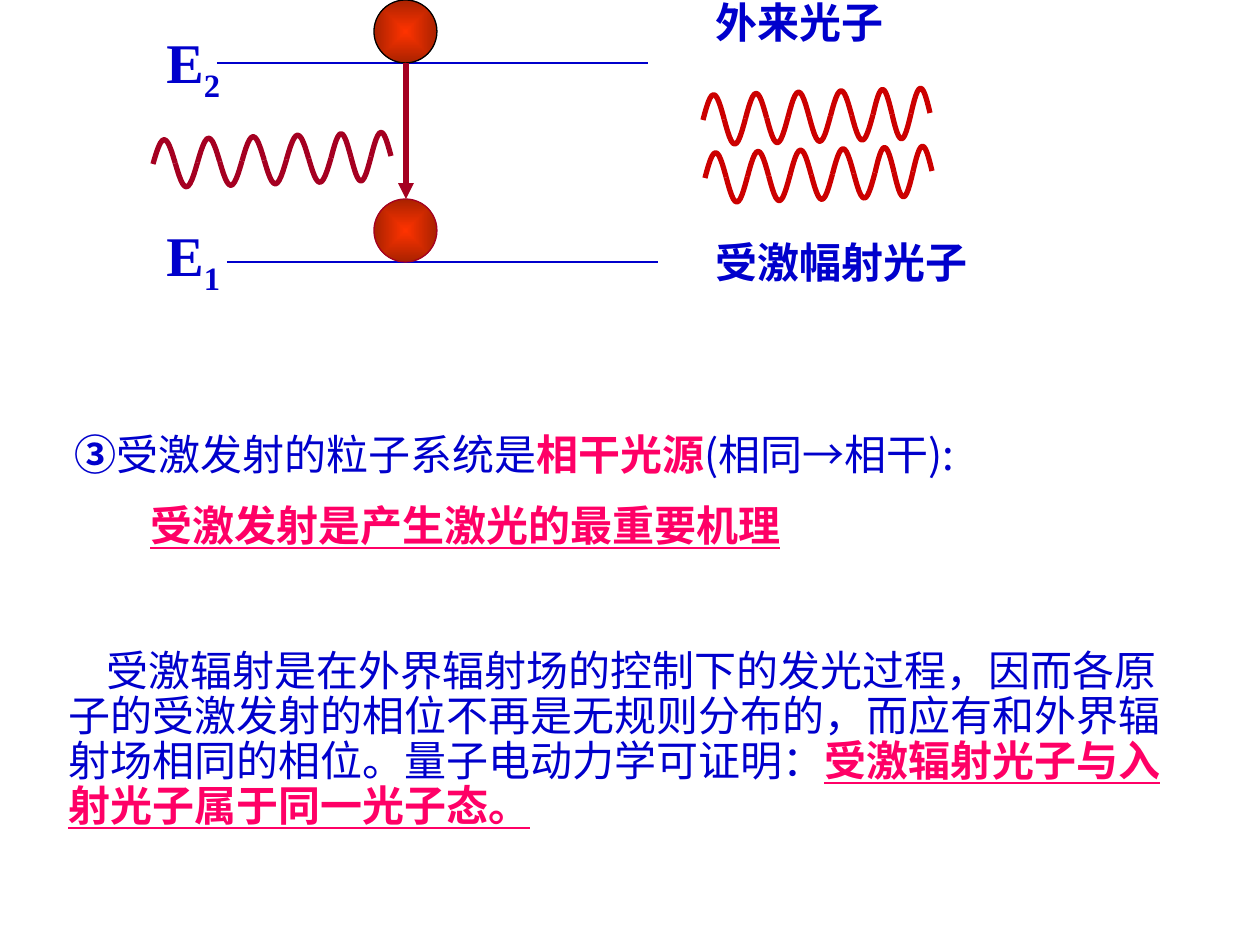
import math
from lxml import etree
from pptx import Presentation, util as u
from pptx.dml.color import RGBColor
from pptx.enum import shapes as es, text as et
from pptx.oxml import ns, parse_xml

PX = 914400 / 126
BLUE, PINK, WINE, RED = "0000CC", "FF0066", "A50021", "CC0000"
SERIF, SANS = "Times New Roman", "Noto Sans CJK SC"


def px(n):
    return round(n * PX)


def color(code):
    return RGBColor.from_string(code)


def stroke(item, code, width):
    item.line.color.rgb = color(code)
    item.line.width = u.Pt(width)


def line(slide, x1, y1, x2, y2, code=BLUE, width=0.75, head=False):
    rule = slide.shapes.add_connector(
        es.MSO_CONNECTOR.STRAIGHT, px(x1), px(y1), px(x2), px(y2))
    stroke(rule, code, width)
    props = rule._element.spPr
    if head:
        etree.SubElement(props.find(ns.qn("a:ln")), ns.qn("a:tailEnd"), type="triangle")
    etree.SubElement(props, ns.qn("a:effectLst"))


def ball(slide, x, y, edge):
    disc = slide.shapes.add_shape(es.MSO_SHAPE.OVAL, px(x), px(y), px(63), px(63))
    disc.shadow.inherit = False
    stroke(disc, edge, 0.75)
    disc.fill.gradient()
    for stop, code, place in zip(disc.fill.gradient_stops, ("FF3300", "A92200"), (0, 1)):
        stop.color.rgb = color(code)
        stop.position = place
    grad = disc._element.spPr.find(ns.qn("a:gradFill"))
    grad.replace(grad.find(ns.qn("a:lin")), parse_xml(
        f'<a:path {ns.nsdecls("a")} path="shape">'
        '<a:fillToRect l="50000" t="50000" r="50000" b="50000"/></a:path>'))


def arc(slide, points, code):
    pen = slide.shapes.build_freeform(*points[0], scale=1.0)
    pen.add_line_segments(points[1:], close=False)
    curve = pen.convert_to_shape()
    curve.shadow.inherit = False
    curve.fill.background()
    stroke(curve, code, 3)


def wave(slide, x, y, wide, slim, rise, amp, code):
    halves = [wide / 8] * 8 + [slim / 3] * 3
    steps, span, left = 12, wide + slim, 0
    for i, half in enumerate(halves):
        points = []
        for k in range(steps + 1):
            run = left + half * k / steps
            swing = amp * math.sin(math.pi * (i + k / steps))
            points.append((px(x + run), px(y - rise * run / span - swing)))
        arc(slide, points, code)
        left += half


def box(slide, x, y, w, h, wrap=True):
    frame = slide.shapes.add_textbox(px(x), px(y), px(w), px(h)).text_frame
    frame.word_wrap = wrap
    return frame


def write(para, words, code=BLUE, face=SANS, bold=False, under=False, size=24):
    run = para.add_run()
    run.text = words
    font = run.font
    font.size, font.name, font.bold = u.Pt(size), face, bold
    if under:
        font.underline = True
    font.color.rgb = color(code)
    etree.SubElement(run._r.get_or_add_rPr(), ns.qn("a:ea"), typeface=SANS)
    return run


def indent(para, first, pitch):
    para._p.get_or_add_pPr().set("indent", str(px(first)))
    para.line_spacing = u.Pt(pitch)


def level(slide, y, index):
    para = box(slide, 154, y, 80, 79, False).paragraphs[0]
    write(para, "E", face=SERIF, bold=True, size=32)
    sub = write(para, index, face=SERIF, bold=True, size=32)
    sub._r.get_or_add_rPr().set("baseline", "-25000")


def label(slide, y, width, words):
    para = box(slide, 703, y, width, 63, False).paragraphs[0]
    para.line_spacing = u.Pt(28.5)
    write(para, words, face=SERIF, bold=True)


def diagram(slide):
    line(slide, 227, 262, 658, 262)
    line(slide, 217, 63, 648, 63)
    level(slide, 21, "2")
    level(slide, 214, "1")
    ball(slide, 374, 0, "000000")
    wave(slide, 153, 164, 178, 60, 8, 24, WINE)
    ball(slide, 374, 199, WINE)
    line(slide, 406, 63, 406, 199, WINE, 3, True)
    for x, y in ((703, 120), (705, 178)):
        wave(slide, x, y, 170, 57, 7, 25, RED)
    label(slide, -9, 194, "外来光子")
    label(slide, 231, 278, "受激幅射光子")


def notes(slide):
    frame = box(slide, 53, 423, 985, 139)
    para = frame.paragraphs[0]
    indent(para, 9, 28.5)
    write(para, "③", face=SERIF, bold=True)
    write(para, "受激发射的粒子系统是")
    write(para, "相干光源", PINK, bold=True)
    write(para, "(相同→相干):")
    para = frame.add_paragraph()
    indent(para, 85, 28.5)
    para.space_before = u.Pt(12)
    write(para, "受激发射是产生激光的最重要机理", PINK, bold=True, under=True)
    for para in frame.paragraphs:
        para.alignment = et.PP_ALIGN.JUSTIFY

    para = box(slide, 56, 644, 1134, 213).paragraphs[0]
    indent(para, 38, 25.7)
    write(para, "受激辐射是在外界辐射场的控制下的发光过程，因而各原子的受激发射的相位不再是"
          "无规则分布的，而应有和外界辐射场相同的相位。量子电动力学可证明：")
    write(para, "受激辐射光子与入射光子属于同一光子态。", PINK, bold=True, under=True)


def main():
    deck = Presentation()
    deck.slide_width, deck.slide_height = px(1260), px(945)
    slide = deck.slides.add_slide(deck.slide_layouts[6])
    diagram(slide)
    notes(slide)
    deck.save("out.pptx")


if __name__ == "__main__":
    main()
